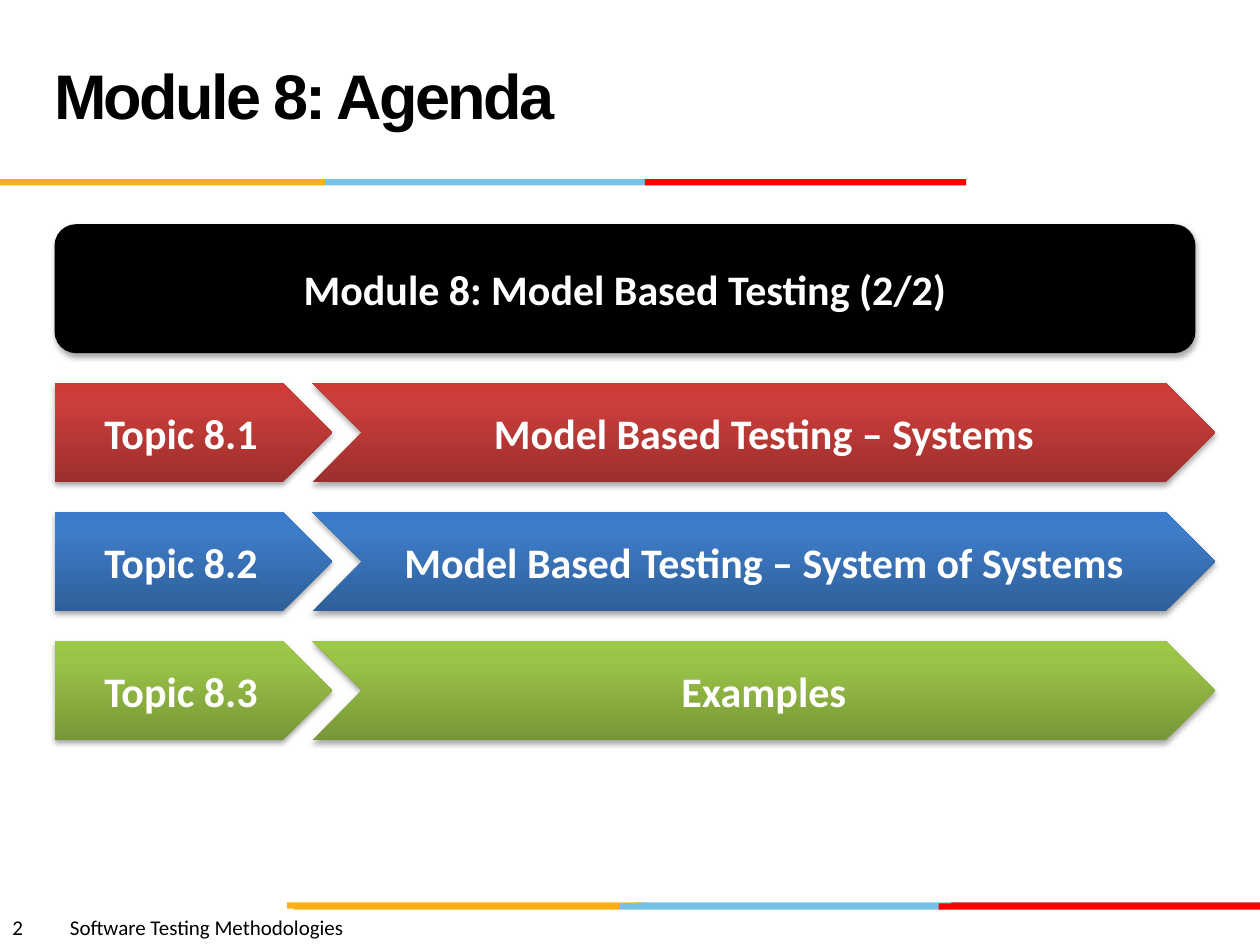
from copy import deepcopy

from lxml.etree import SubElement
from pptx import Presentation
from pptx.dml.color import RGBColor
from pptx.enum.shapes import MSO_SHAPE
from pptx.enum.text import MSO_ANCHOR, PP_ALIGN
from pptx.oxml.ns import qn
from pptx.util import Cm, Pt

COLORS = {
    "black": "000000",
    "white": "FFFFFF",
    "orange": "FCB017",
    "sky": "76C2E5",
    "red": "FF0000",
    "crimson": "E31C24",
}

presentation = Presentation()
presentation.slide_width, presentation.slide_height = Cm(25.4), Cm(19.05)
slide = presentation.slides.add_slide(presentation.slide_layouts[6])


def add_block(preset, left, top, width, height, gradient=()):
    """Add a borderless shape: three gradient colours from bottom to top, or solid black."""
    block = slide.shapes.add_shape(preset, Cm(left), Cm(top), Cm(width), Cm(height))
    block.line.fill.background()
    block.shadow.inherit = False
    if gradient:
        block.fill.gradient()
        block.fill.gradient_angle = 90
        stop_list = block._element.spPr.find(qn("a:gradFill")).find(qn("a:gsLst"))
        stop_list.append(deepcopy(stop_list[-1]))
        for stop, position, color in zip(block.fill.gradient_stops, (0, 0.8, 1), gradient):
            stop.position = position
            stop.color.rgb = RGBColor.from_string(color)
    else:
        block.fill.solid()
        block.fill.fore_color.rgb = RGBColor.from_string(COLORS["black"])
    return block


def label_block(block, label):
    """Write a centred white label and give the block a soft shadow below."""
    effects = block._element.spPr.find(qn("a:effectLst"))
    shadow = SubElement(effects, qn("a:outerShdw"), blurRad="40000", dist="23000",
                        dir="5400000", rotWithShape="0")
    shadow_color = SubElement(shadow, qn("a:srgbClr"), val=COLORS["black"])
    SubElement(shadow_color, qn("a:alpha"), val="35000")
    block.text_frame.text = label
    block.text_frame.word_wrap = True
    block.text_frame.vertical_anchor = MSO_ANCHOR.MIDDLE
    paragraph = block.text_frame.paragraphs[0]
    paragraph.alignment = PP_ALIGN.CENTER
    font = paragraph.runs[0].font
    font.name, font.size, font.bold = "Calibri", Pt(24), True
    font.color.rgb = RGBColor.from_string(COLORS["white"])


# Coloured stripes: top, then (left, width, colour) of each segment
stripes = [
    (18.19, [(12.85, 6.48, "sky"), (19.18, 6.22, "crimson"), (5.79, 7.16, "orange")]),
    (18.21, [(12.5, 6.48, "sky"), (5.92, 6.58, "orange"), (18.92, 6.48, "red")]),
    (3.61, [(6.55, 6.48, "sky"), (0, 6.55, "orange"), (13, 6.48, "red")]),
]
for stripe_top, segments in stripes:
    for left, width, color in segments:
        segment = add_block(MSO_SHAPE.RECTANGLE, left, stripe_top, width, 0.13)
        segment.fill.fore_color.rgb = RGBColor.from_string(COLORS[color])

# Footer: page number and course name, parted by a tab stop
footer = slide.shapes.add_textbox(Cm(0), Cm(18.31), Cm(12.7), Cm(0.76))
footer.text_frame.word_wrap = True
footer_line = footer.text_frame.paragraphs[0]
footer_line.text = "2\tSoftware Testing Methodologies"
tab_stops = SubElement(footer_line._p.get_or_add_pPr(), qn("a:tabLst"))
SubElement(tab_stops, qn("a:tab"), pos=str(Cm(1.16)), algn="l")
for run in footer_line.runs:
    run.font.name, run.font.size = "Calibri", Pt(12)
    run.font.color.rgb = RGBColor.from_string(COLORS["black"])

# Title
title = slide.shapes.add_textbox(Cm(0.84), Cm(0.43), Cm(17.58), Cm(3.18))
title.text_frame.word_wrap = True
title.text_frame.vertical_anchor = MSO_ANCHOR.MIDDLE
title_line = title.text_frame.paragraphs[0]
title_line.text = "Module 8: Agenda"
title_line.line_spacing = Pt(36)
title_run = title_line.runs[0]
title_run.font.name, title_run.font.size, title_run.font.bold = "Arial", Pt(36), True
title_run.font.color.rgb = RGBColor.from_string(COLORS["black"])
title_run.font._element.set("spc", "-150")

# Agenda: one row per topic, under the module banner
topics = [
    ("Topic 8.1", "Model Based Testing – Systems", ("9C2F2D", "CB3E3A", "CE3B37")),
    ("Topic 8.2", "Model Based Testing – System of Systems", ("2F5F99", "3D7CC7", "3A7CCB")),
    ("Topic 8.3", "Examples", ("779737", "9BC348", "9DC746")),
]
for row, (number, subject, gradient) in enumerate(topics):
    row_top = 7.72 + row * 2.6
    label_block(add_block(MSO_SHAPE.PENTAGON, 1.1, row_top, 5.6, 2, gradient), number)
    label_block(add_block(MSO_SHAPE.CHEVRON, 6.3, row_top, 18.2, 2, gradient), subject)

banner = add_block(MSO_SHAPE.ROUNDED_RECTANGLE, 1.1, 4.52, 23, 2.6)
label_block(banner, "Module 8: Model Based Testing (2/2)")

presentation.save("out.pptx")
